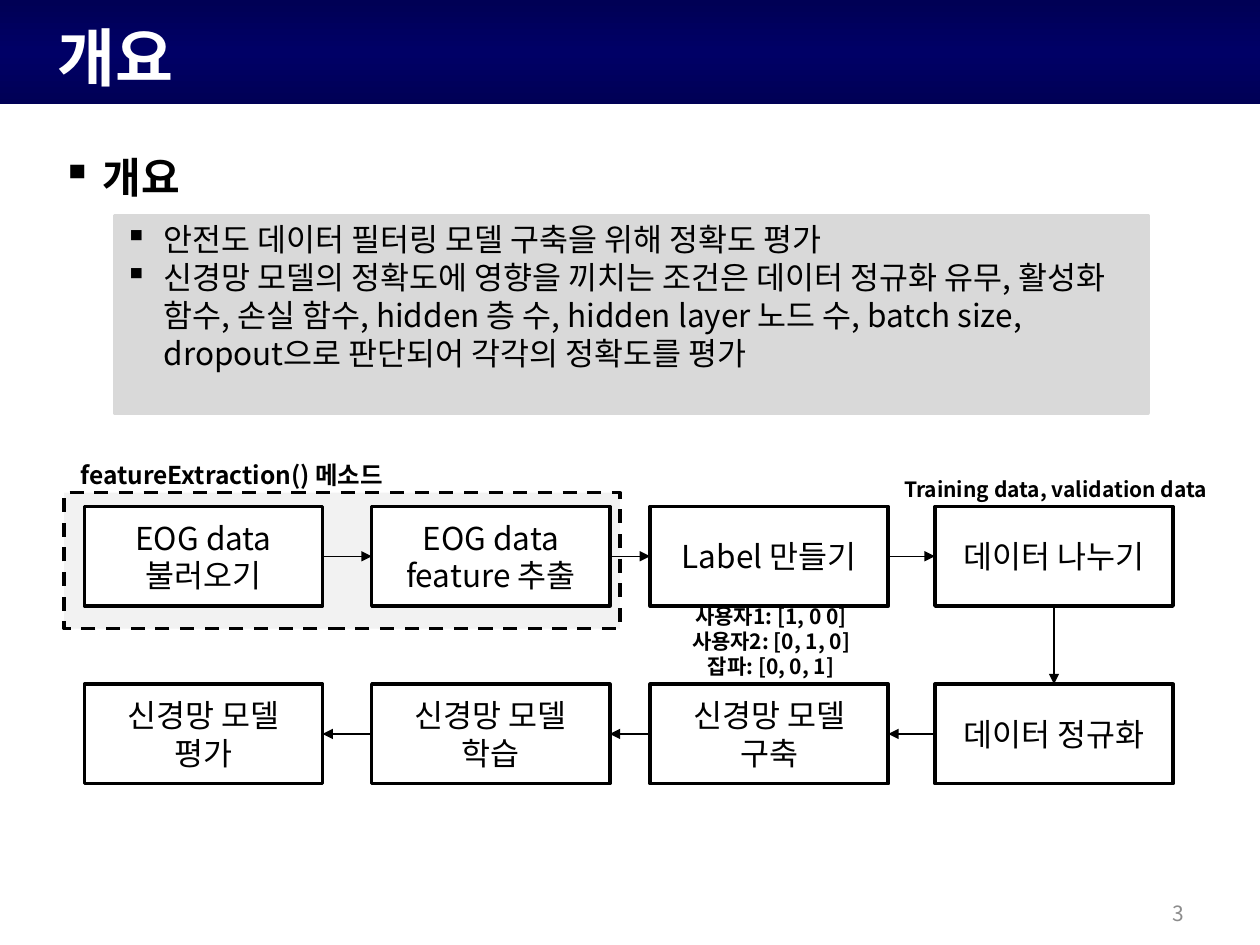
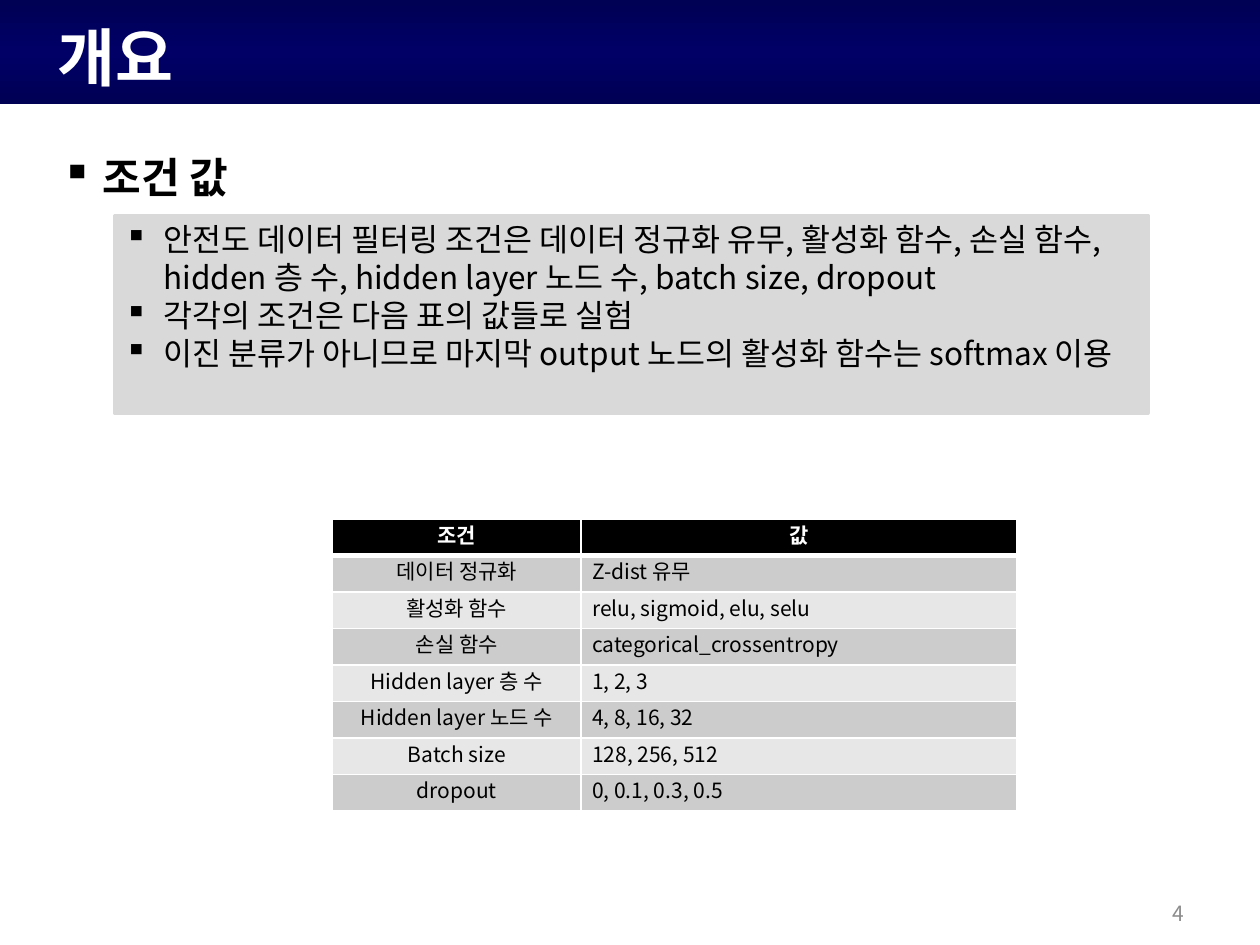
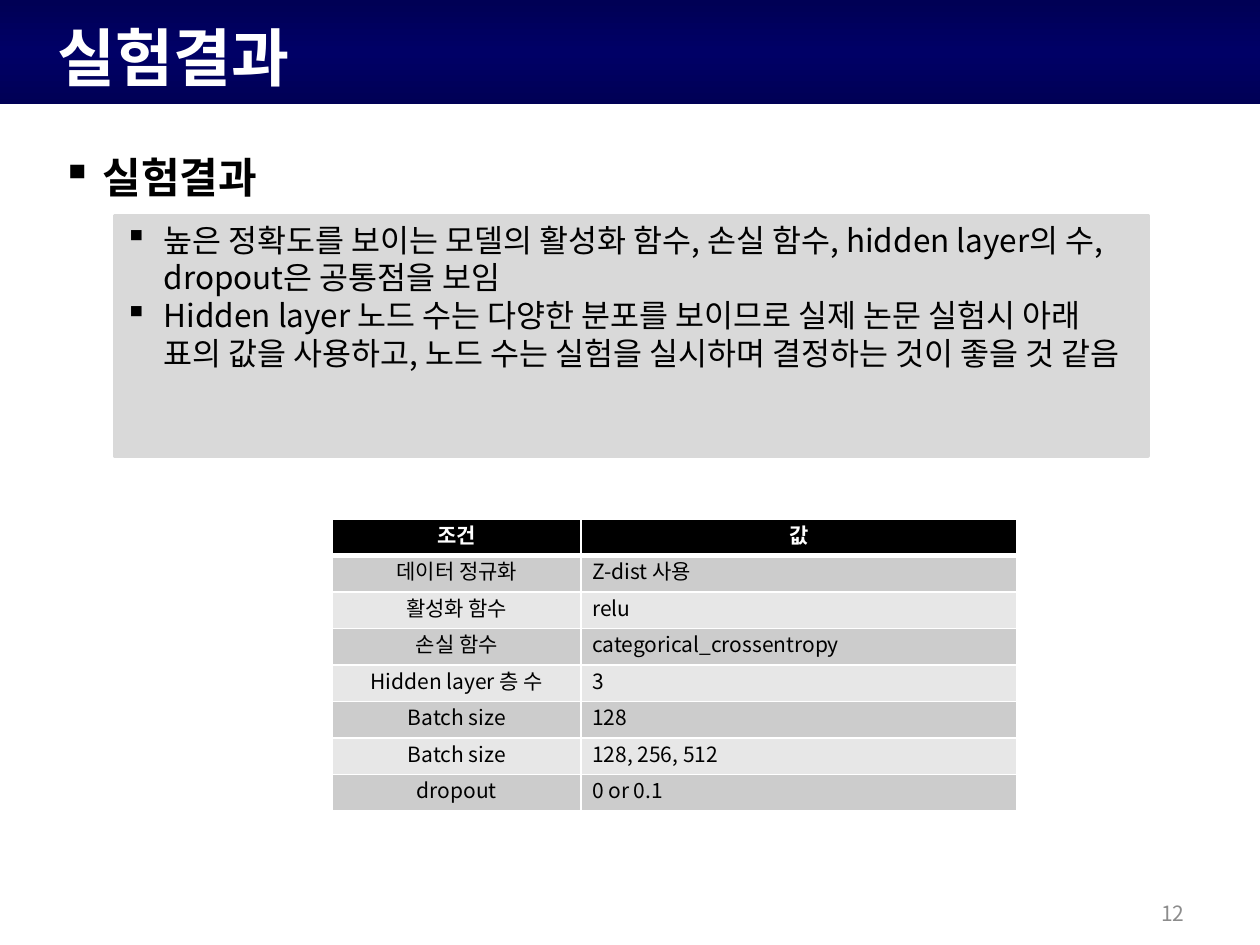
import copy

import pptx
import pptx.dml.color
import pptx.enum.dml
import pptx.enum.shapes
import pptx.enum.text
import pptx.oxml.ns
import pptx.util
from lxml import etree

Inches, Pt = pptx.util.Inches, pptx.util.Pt
RGBColor = pptx.dml.color.RGBColor
ALIGN = pptx.enum.text.PP_ALIGN
ANCHOR = pptx.enum.text.MSO_ANCHOR
RECT = pptx.enum.shapes.MSO_SHAPE.RECTANGLE
qn = pptx.oxml.ns.qn

# Shared style
BLACK = RGBColor(0x00, 0x00, 0x00)
WHITE = RGBColor(0xFF, 0xFF, 0xFF)
NAVY_EDGE = RGBColor(0x00, 0x00, 0x55)
NAVY_MID = RGBColor(0x00, 0x00, 0x66)
PANEL_GRAY = RGBColor(0xD9, 0xD9, 0xD9)
ZONE_GRAY = RGBColor(0xF2, 0xF2, 0xF2)
NUMBER_GRAY = RGBColor(0x8C, 0x8C, 0x8C)
ROW_FILLS = (RGBColor(0xCC, 0xCC, 0xCC), RGBColor(0xE7, 0xE7, 0xE7))
HEAD_FONT, BODY_FONT = "Arial", "Noto Sans CJK KR"
WIDTH, HEIGHT = 10, 7.5

# Content
SLIDES = [
    dict(title="개요", heading="개요", number="3", panel_height=1.57, points=[
        "안전도 데이터 필터링 모델 구축을 위해 정확도 평가",
        "신경망 모델의 정확도에 영향을 끼치는 조건은 데이터 정규화 유무, 활성화 함수, "
        "손실 함수, hidden 층 수, hidden layer 노드 수, batch size, dropout으로 "
        "판단되어 각각의 정확도를 평가",
    ]),
    dict(title="개요", heading="조건 값", number="4", panel_height=1.57, points=[
        "안전도 데이터 필터링 조건은 데이터 정규화 유무, 활성화 함수, 손실 함수, "
        "hidden 층 수, hidden layer 노드 수, batch size, dropout",
        "각각의 조건은 다음 표의 값들로 실험",
        "이진 분류가 아니므로 마지막 output 노드의 활성화 함수는 softmax 이용",
    ], table=[
        ("조건", "값"),
        ("데이터 정규화", "Z-dist 유무"),
        ("활성화 함수", "relu, sigmoid, elu, selu"),
        ("손실 함수", "categorical_crossentropy"),
        ("Hidden layer 층 수", "1, 2, 3"),
        ("Hidden layer 노드 수", "4, 8, 16, 32"),
        ("Batch size", "128, 256, 512"),
        ("dropout", "0, 0.1, 0.3, 0.5"),
    ]),
    dict(title="실험결과", heading="실험결과", number="12", panel_height=1.91, points=[
        "높은 정확도를 보이는 모델의 활성화 함수, 손실 함수, hidden layer의 수, "
        "dropout은 공통점을 보임",
        "Hidden layer 노드 수는 다양한 분포를 보이므로 실제 논문 실험시 아래 표의 값을 "
        "사용하고, 노드 수는 실험을 실시하며 결정하는 것이 좋을 것 같음",
    ], table=[
        ("조건", "값"),
        ("데이터 정규화", "Z-dist 사용"),
        ("활성화 함수", "relu"),
        ("손실 함수", "categorical_crossentropy"),
        ("Hidden layer 층 수", "3"),
        ("Batch size", "128"),
        ("Batch size", "128, 256, 512"),
        ("dropout", "0 or 0.1"),
    ]),
]

# Flow steps in order: (column, row, text)
STEPS = [
    (0, 0, ["EOG data 불러오기"]),
    (1, 0, ["EOG data feature 추출"]),
    (2, 0, ["Label 만들기"]),
    (3, 0, ["데이터 나누기"]),
    (3, 1, ["데이터 정규화"]),
    (2, 1, ["신경망 모델", "구축"]),
    (1, 1, ["신경망 모델", "학습"]),
    (0, 1, ["신경망 모델", "평가"]),
]
STEP_LEFTS, STEP_TOPS = (0.67, 2.95, 5.16, 7.42), (4.02, 5.43)
STEP_SIZE = (1.89, 0.79)
# Connection sites (begin, end) by direction (columns, rows)
SITES = {(1, 0): (3, 1), (0, 1): (2, 0), (-1, 0): (1, 3)}
FLOW_LABELS = [  # left, top, height, size, lines
    (4.79, 4.74, 0.71, 12, ["사용자1: [1, 0 0]", "사용자2: [0, 1, 0]", "잡파: [0, 0, 1]"]),
    (0.51, 3.6, 0.34, 14, ["featureExtraction() 메소드"]),
    (7.05, 3.73, 0.3, 12, ["Training data, validation data"]),
]
LABEL_WIDTH = 2.66
COL_WIDTHS, ROW_HEIGHT = (1.97, 3.46), 0.29


def inches(*lengths):
    return [Inches(v) for v in lengths]


def write(tf, lines, size, color=BLACK, bold=False, font=BODY_FONT,
          align=ALIGN.LEFT, spacing=1.2, bullet=None, hang=0):
    """Fill a text frame with one paragraph per line."""
    tf.word_wrap = True
    for i, line in enumerate(lines):
        p = tf.add_paragraph() if i else tf.paragraphs[0]
        p.text = line
        p.alignment = align
        p.line_spacing = Pt(size * spacing)
        p.space_before = Pt(0)
        f = p.font
        f.size, f.bold, f.name = Pt(size), bold, font
        f.color.rgb = color
        pPr = p._p.get_or_add_pPr()
        defaults = pPr.find(qn("a:defRPr"))
        etree.SubElement(defaults, qn("a:ea")).set("typeface", BODY_FONT)
        if bullet:
            pPr.set("marL", str(Inches(hang)))
            pPr.set("indent", str(-Inches(hang)))
            mark = etree.Element(qn("a:buChar"))
            mark.set("char", bullet)
            defaults.addprevious(mark)


def add_text(slide, at, lines, size, anchor=ANCHOR.TOP, **style):
    tf = slide.shapes.add_textbox(*inches(*at)).text_frame
    tf.vertical_anchor = anchor
    write(tf, lines, size, **style)


def add_rect(slide, at, fill, line):
    sp = slide.shapes.add_shape(RECT, *inches(*at))
    sp.shadow.inherit = False
    sp.fill.solid()
    sp.fill.fore_color.rgb = fill
    sp.line.color.rgb = line
    sp.line.width = Pt(2)
    return sp


def move_band_to_layout(slide):
    """Draw the navy title band and place it behind everything on the layout."""
    sp = slide.shapes.add_shape(RECT, *inches(0, 0, WIDTH, 0.83))
    sp.shadow.inherit = False
    sp.line.fill.background()
    sp.fill.gradient()
    sp.fill.gradient_angle = 270
    stop_list = sp.element.find(".//" + qn("a:gsLst"))
    stop_list.append(copy.deepcopy(stop_list[0]))
    for i, color in enumerate((NAVY_EDGE, NAVY_MID, NAVY_EDGE)):
        stop = sp.fill.gradient_stops[i]
        stop.position, stop.color.rgb = i / 2, color
    slide.slide_layout.shapes.element.insert(2, sp.element)


def add_frame(slide, data):
    """Title, heading, gray panel of points and slide number."""
    title = slide.shapes.title
    title.left, title.top, title.width, title.height = inches(0.36, 0.1, 7.97, 0.71)
    tf = title.text_frame
    tf.auto_size = pptx.enum.text.MSO_AUTO_SIZE.NONE
    tf.vertical_anchor = ANCHOR.TOP
    write(tf, [data["title"]], 36, color=WHITE, bold=True, font=HEAD_FONT)

    add_text(slide, (0.39, 0.95, 9.22, 0.63), [" " + data["heading"]], 24,
             bold=True, font=HEAD_FONT, spacing=1.8, bullet="▪")
    panel = add_rect(slide, (0.91, 1.71, 8.2, data["panel_height"]), PANEL_GRAY, PANEL_GRAY)
    tf = panel.text_frame
    tf.vertical_anchor = ANCHOR.TOP
    tf.margin_left, tf.margin_top = inches(0.08, 0.04)
    write(tf, data["points"], 18, bullet="▪", hang=0.31)
    add_text(slide, (7.17, 7.05, 2.33, 0.4), [data["number"]], 12,
             anchor=ANCHOR.MIDDLE, color=NUMBER_GRAY, align=ALIGN.RIGHT)


def add_arrow(slide, start, start_site, end, end_site):
    line = slide.shapes.add_connector(pptx.enum.shapes.MSO_CONNECTOR.STRAIGHT, 0, 0, 0, 0)
    line.begin_connect(start, start_site)
    line.end_connect(end, end_site)
    line.line.color.rgb = BLACK
    line.line.width = Pt(0.75)
    ln = line.line._get_or_add_ln()
    etree.SubElement(ln, qn("a:tailEnd")).set("type", "triangle")
    etree.SubElement(line.element.spPr, qn("a:effectLst"))


def add_flow(slide):
    zone = add_rect(slide, (0.51, 3.91, 4.41, 1.08), ZONE_GRAY, BLACK)
    zone.line.dash_style = pptx.enum.dml.MSO_LINE.DASH
    boxes = []
    for col, row, lines in STEPS:
        box = add_rect(slide, (STEP_LEFTS[col], STEP_TOPS[row], *STEP_SIZE), WHITE, BLACK)
        box.text_frame.vertical_anchor = ANCHOR.MIDDLE
        write(box.text_frame, lines, 18, align=ALIGN.CENTER)
        boxes.append(box)
    for i in range(len(STEPS) - 1):
        (c0, r0, _), (c1, r1, _) = STEPS[i:i + 2]
        begin, end = SITES[c1 - c0, r1 - r0]
        add_arrow(slide, boxes[i], begin, boxes[i + 1], end)
    for left, top, height, size, lines in FLOW_LABELS:
        add_text(slide, (left, top, LABEL_WIDTH, height), lines, size,
                 bold=True, align=ALIGN.CENTER)


def set_borders(cell, **widths):
    """White borders; widths in points by side letter, in schema order."""
    tcPr = cell._tc.get_or_add_tcPr()
    for i, (side, width) in enumerate(widths.items()):
        ln = etree.Element(qn("a:ln" + side))
        ln.set("w", str(Pt(width)))
        fill = etree.SubElement(ln, qn("a:solidFill"))
        etree.SubElement(fill, qn("a:srgbClr")).set("val", str(WHITE))
        tcPr.insert(i, ln)


def add_conditions(slide, rows):
    table = slide.shapes.add_table(
        len(rows), len(COL_WIDTHS),
        *inches(2.64, 4.12, sum(COL_WIDTHS), ROW_HEIGHT * len(rows))).table
    for c, width in enumerate(COL_WIDTHS):
        table.columns[c].width = Inches(width)
    for r, texts in enumerate(rows):
        table.rows[r].height = Inches(ROW_HEIGHT)
        header = r == 0
        for c, text in enumerate(texts):
            cell = table.cell(r, c)
            cell.margin_left = cell.margin_right = Inches(0.09)
            cell.margin_top = cell.margin_bottom = Inches(0.04)
            cell.fill.solid()
            cell.fill.fore_color.rgb = BLACK if header else ROW_FILLS[(r - 1) % 2]
            set_borders(cell, L=1, R=1, T=3 if r == 1 else 1, B=3 if header else 1)
            write(cell.text_frame, [text], 12, color=WHITE if header else BLACK, bold=header,
                  align=ALIGN.CENTER if header or c == 0 else ALIGN.LEFT)


def main():
    prs = pptx.Presentation()
    prs.slide_width, prs.slide_height = inches(WIDTH, HEIGHT)
    for i, data in enumerate(SLIDES):
        slide = prs.slides.add_slide(prs.slide_layouts[5])
        if i == 0:
            move_band_to_layout(slide)
        add_frame(slide, data)
        if "table" in data:
            add_conditions(slide, data["table"])
        else:
            add_flow(slide)
    prs.save("out.pptx")


if __name__ == "__main__":
    main()
